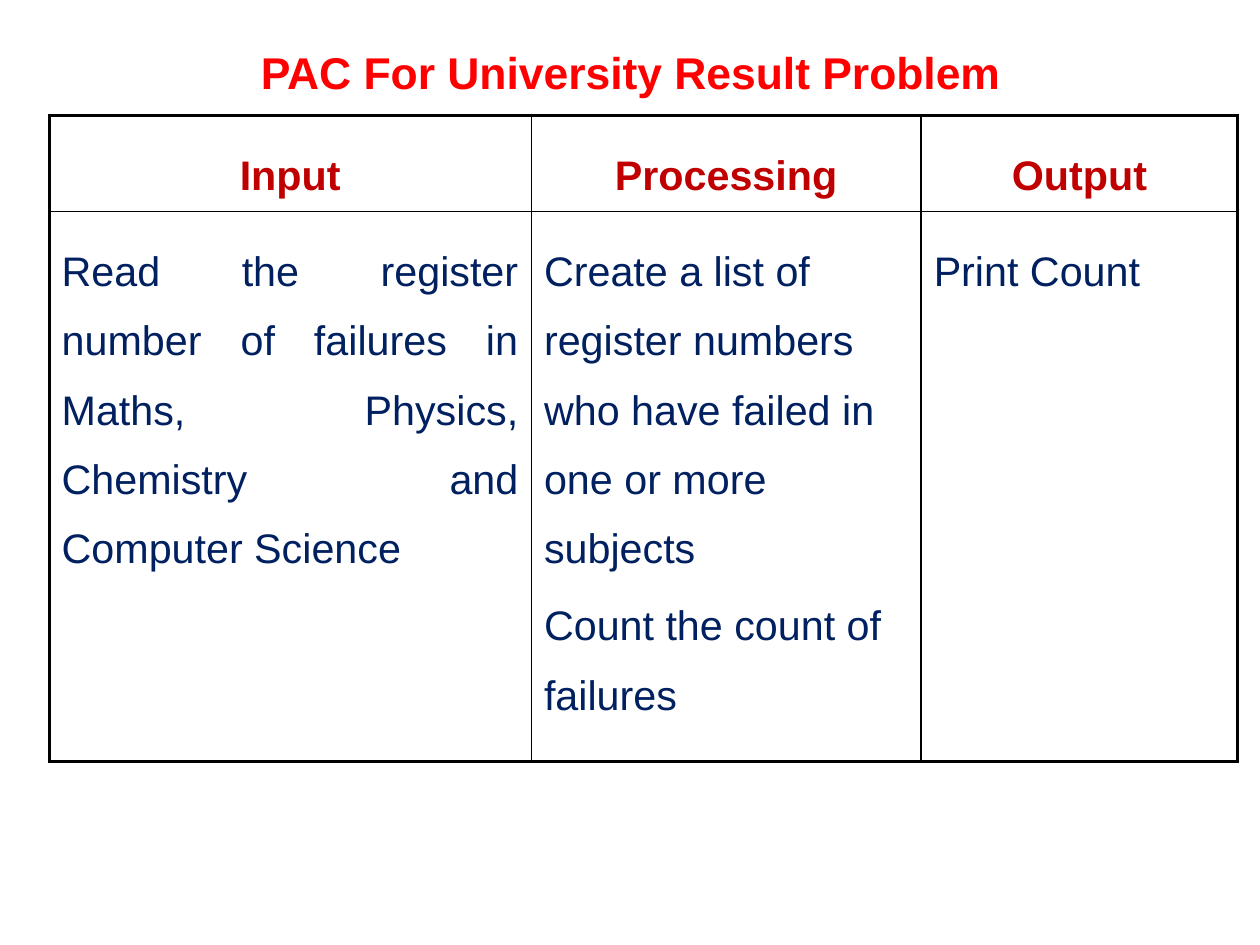
"""Build the slide with the PAC table for the university result problem."""
from lxml import etree
from pptx import Presentation
from pptx.dml.color import RGBColor
from pptx.enum.text import MSO_ANCHOR, PP_ALIGN
from pptx.oxml.ns import qn
from pptx.util import Cm, Pt

LEFT, MID, JUST = PP_ALIGN.LEFT, PP_ALIGN.CENTER, PP_ALIGN.JUSTIFY
TOP, CENTRE = MSO_ANCHOR.TOP, MSO_ANCHOR.MIDDLE

TITLE = "PAC For University Result Problem"
HEADS = ["Input", "Processing", "Output"]
BODY = [
    ["Read the register number of failures in Maths, Physics, Chemistry and Computer Science"],
    ["Create a list of register numbers who have failed in one or more subjects",
     "Count the count of failures"],
    ["Print Count"],
]
ALIGNS = [JUST, LEFT, LEFT]

THEME = {
    "title": {"name": "Arial", "size": Pt(28), "bold": True, "color": "FF0000"},
    "head": {"name": "Arial", "size": Pt(26), "bold": True, "color": "C00000"},
    "body": {"name": "Arial", "size": Pt(26), "bold": False, "color": "002060"},
    "line": "000000",
    "outer": Pt(2.25),
    "inner": Pt(1),
}
PAGE = Cm(28), Cm(21)
TITLE_BOX = Cm(0.94), Cm(0.46), Cm(26.14), Cm(2.29)
ORIGIN = Cm(1.09), Cm(2.57)
COLS = [Cm(10.72), Cm(8.66), Cm(7.04)]
ROWS = [Cm(2.11), Cm(11.02)]
PADS = {"margin_left": Cm(0.28), "margin_right": Cm(0.28),
        "margin_top": Cm(0.33), "margin_bottom": Cm(0.15), "vertical_anchor": TOP}
FRAME = {"margin_left": 0, "margin_right": 0, "margin_top": 0, "margin_bottom": 0,
         "word_wrap": True, "vertical_anchor": CENTRE}


def apply(item, values):
    for name, value in values.items():
        setattr(item, name, value)


def write(frame, lines, style, align, spacing):
    look = dict(THEME[style])
    color = RGBColor.from_string(look.pop("color"))
    for i, line in enumerate(lines):
        para = frame.add_paragraph() if i else frame.paragraphs[0]
        apply(para, {"alignment": align, "line_spacing": spacing,
                     "space_before": Pt(5.2 if i else 0)})
        run = para.add_run()
        run.text = line
        apply(run.font, look)
        run.font.color.rgb = color


def border(cell, edges):
    props = cell._tc.get_or_add_tcPr()
    for side, outer in edges.items():
        width = THEME["outer" if outer else "inner"]
        line = etree.SubElement(props, qn("a:ln" + side), w=str(int(width)))
        fill = etree.SubElement(line, qn("a:solidFill"))
        etree.SubElement(fill, qn("a:srgbClr"), val=THEME["line"])


def main():
    deck = Presentation()
    deck.slide_width, deck.slide_height = PAGE
    slide = deck.slides.add_slide(deck.slide_layouts[6])

    frame = slide.shapes.add_textbox(*TITLE_BOX).text_frame
    apply(frame, FRAME)
    write(frame, [TITLE], "title", MID, 1.0)

    table = slide.shapes.add_table(len(ROWS), len(COLS), *ORIGIN, sum(COLS), sum(ROWS)).table
    apply(table, {"first_row": False, "horz_banding": False})
    for col, width in zip(table.columns, COLS):
        col.width = width
    for row, height in zip(table.rows, ROWS):
        row.height = height

    cells = [[([head], "head", MID) for head in HEADS],
             [(lines, "body", align) for lines, align in zip(BODY, ALIGNS)]]
    for r, row in enumerate(cells):
        for c, (lines, style, align) in enumerate(row):
            cell = table.cell(r, c)
            apply(cell, PADS)
            border(cell, {"L": c == 0, "R": c == len(COLS) - 1,
                          "T": r == 0, "B": r == len(ROWS) - 1})
            cell.fill.background()
            write(cell.text_frame, lines, style, align, 1.5)

    deck.save("out.pptx")


if __name__ == "__main__":
    main()
